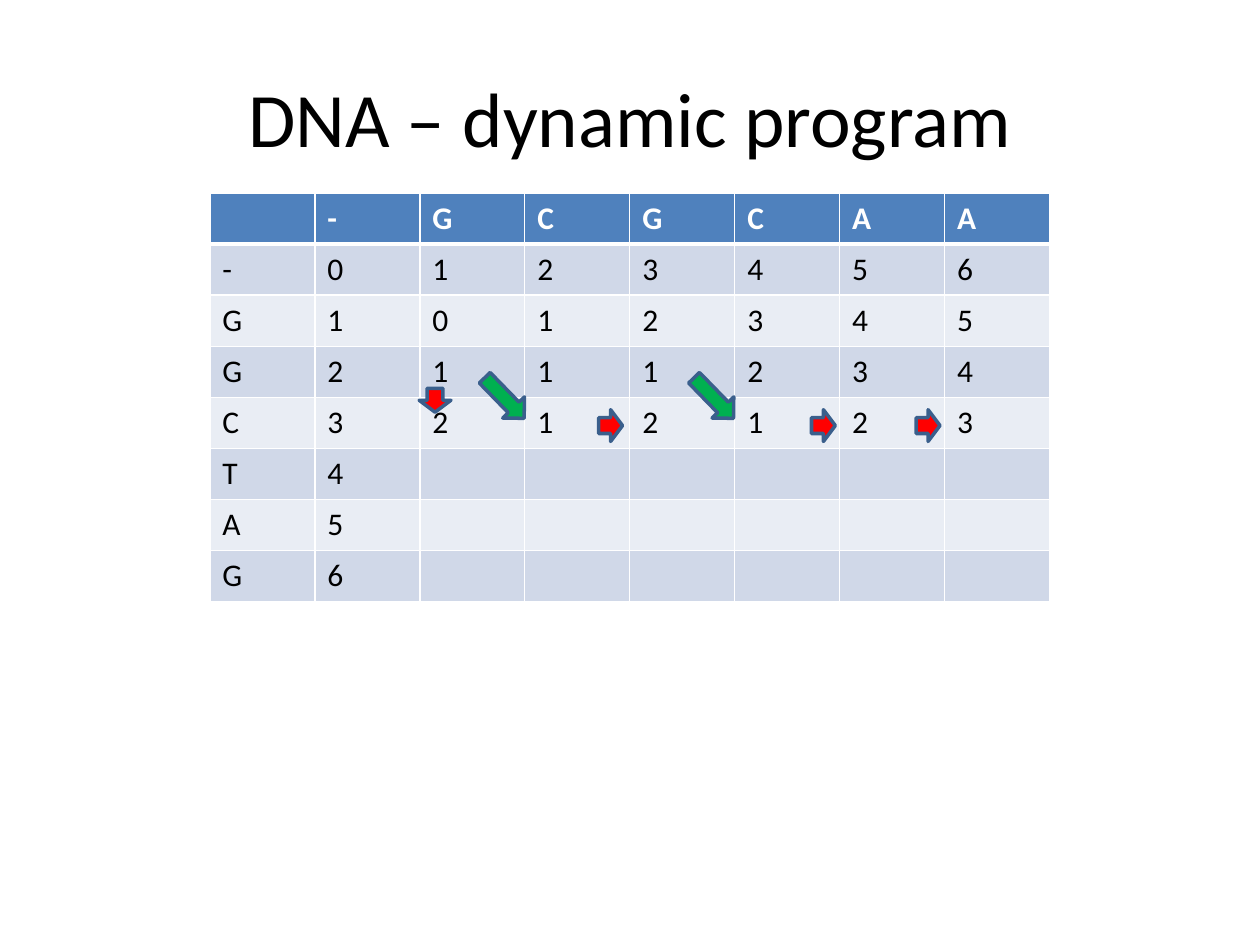
from lxml import etree
from pptx import Presentation
from pptx import util as u
from pptx.dml.color import RGBColor
from pptx.enum import shapes, text
from pptx.oxml import ns

HUES = {
    "ink": "000000", "white": "FFFFFF", "head": "4F81BD",
    "dark": "D0D8E8", "light": "E9EDF4",
    "red": "FF0000", "green": "00B050", "edge": "3A5F8C",
}
TOP = "-GCGCAA"
SIDE = "-GGCTAG"
COSTS = ["0123456", "1012345", "2111234", "3212123", "4", "5", "6"]
STEPS = [
    ("green", 9.6, 7.72, 1.14, 0.61, 45.8),
    ("red", 8.53, 7.75, 0.48, 0.64, 90),
    ("red", 12.07, 8.26, 0.48, 0.64, 0),
    ("red", 16.36, 8.26, 0.48, 0.64, 0),
    ("red", 18.47, 8.26, 0.48, 0.64, 0),
    ("green", 13.82, 7.72, 1.14, 0.61, 45.8),
]


def hue(name):
    return RGBColor.from_string(HUES[name])


def write(frame, words, size=18, color="ink", bold=False, align=None):
    para = frame.paragraphs[0]
    para.alignment = align
    run = para.add_run()
    run.text = words
    font = run.font
    font.name, font.size, font.bold = "Calibri", u.Pt(size), bold
    font.color.rgb = hue(color)


class Deck:
    def __init__(self):
        self.show = Presentation()
        self.show.slide_width = u.Cm(25.4)
        self.show.slide_height = u.Cm(19.05)
        self.slide = self.show.slides.add_slide(self.show.slide_layouts[5])

    def title(self, words, *box):
        shape = self.slide.shapes.title
        shape.left, shape.top, shape.width, shape.height = map(u.Cm, box)
        shape.text_frame.vertical_anchor = text.MSO_ANCHOR.MIDDLE
        write(shape.text_frame, words, size=44, align=text.PP_ALIGN.CENTER)

    def border(self, cell, **widths):
        props = cell._tc.get_or_add_tcPr()
        for side in "LRTB":
            line = etree.SubElement(props, ns.qn("a:ln" + side),
                                    w=str(u.Pt(widths.get(side, 1))))
            fill = etree.SubElement(line, ns.qn("a:solidFill"))
            etree.SubElement(fill, ns.qn("a:srgbClr"), val=HUES["white"])

    def table(self, rows, *box):
        wide = len(rows[0])
        grid = self.slide.shapes.add_table(
            len(rows), wide, *map(u.Cm, box)).table
        for r, row in enumerate(rows):
            head = r == 0
            shade = "head" if head else "dark" if r % 2 else "light"
            for c, words in enumerate(row.ljust(wide)):
                cell = grid.cell(r, c)
                self.border(cell, B=3 if head else 1, T=3 if r == 1 else 1)
                cell.fill.solid()
                cell.fill.fore_color.rgb = hue(shade)
                if words.strip():
                    write(cell.text_frame, words, bold=head,
                          color="white" if head else "ink")

    def arrow(self, color, x, y, w, h, turn):
        shape = self.slide.shapes.add_shape(
            shapes.MSO_SHAPE.RIGHT_ARROW, *map(u.Cm, (x, y, w, h)))
        shape.rotation = turn
        shape.shadow.inherit = False
        shape.fill.solid()
        shape.fill.fore_color.rgb = hue(color)
        shape.line.color.rgb = hue("edge")
        shape.line.width = u.Pt(2)


def main():
    deck = Deck()
    deck.title("DNA – dynamic program", 1.27, 0.76, 22.86, 3.18)
    rows = [" " + TOP] + [base + cost for base, cost in zip(SIDE, COSTS)]
    deck.table(rows, 4.23, 3.89, 16.93, 8.24)
    for step in STEPS:
        deck.arrow(*step)
    deck.show.save("out.pptx")


if __name__ == "__main__":
    main()
